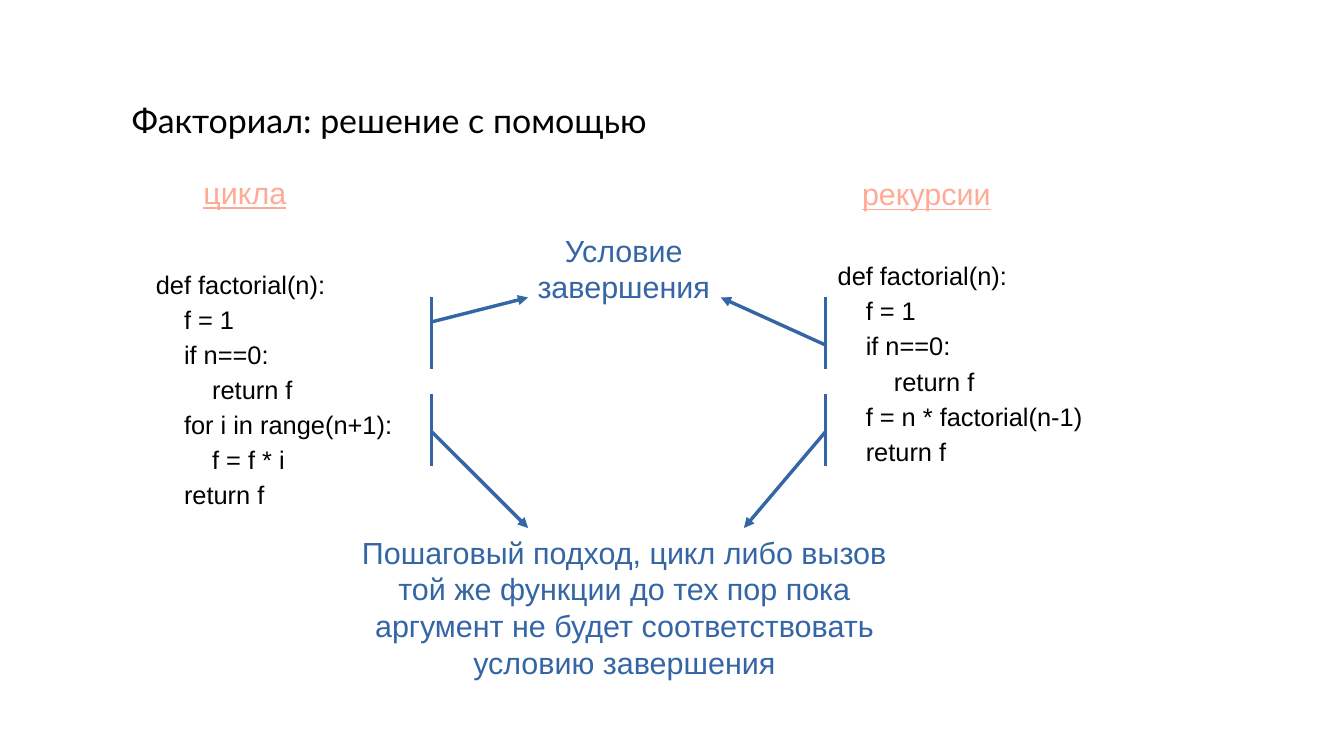
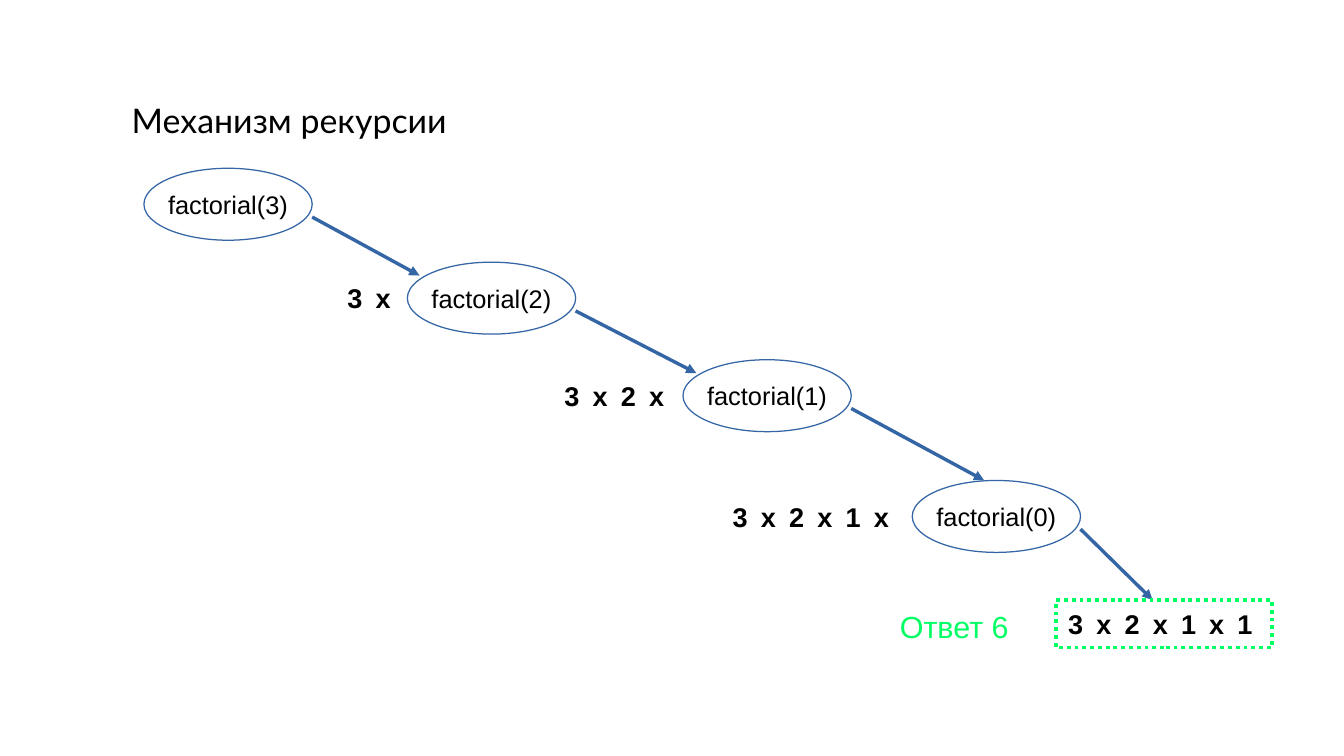
from dataclasses import dataclass
from typing import NamedTuple

import pptx
import pptx.dml.color
import pptx.enum.dml
import pptx.enum.shapes
import pptx.enum.text
import pptx.oxml
import pptx.oxml.ns
import pptx.shapes.base
import pptx.slide
import pptx.text.text
import pptx.util

Inches = pptx.util.Inches
ALIGN = pptx.enum.text.PP_ALIGN
ANCHOR = pptx.enum.text.MSO_ANCHOR
SHAPE = pptx.enum.shapes.MSO_SHAPE


@dataclass(frozen=True)
class Style:
    size: float
    color: str
    font: str = "Arial"
    bold: bool = False
    under: bool = False
    track: int = 0


@dataclass(frozen=True)
class Theme:
    blue: str = "3465A4"
    green: str = "00FF64"
    title: Style = Style(20, "000000", "Lato")
    head: Style = Style(18, "FFAA95", under=True)
    code: Style = Style(15, "000000")
    note: Style = Style(18, "3465A4")
    math: Style = Style(16, "000000", bold=True, track=170)
    reply: Style = Style(18, "00FF64")
    hair: float = 0
    bar: float = 1.5
    frame: float = 2.3


class Box(NamedTuple):
    left: float
    top: float
    width: float
    height: float


class Point(NamedTuple):
    x: float
    y: float


class Label(NamedTuple):
    box: Box
    text: str
    style: Style
    align: ALIGN = ALIGN.LEFT
    space: float = 1.0


class Step(NamedTuple):
    left: float
    top: float
    call: str
    tip: Point
    math: str = ""
    start: float = 0


THEME = Theme()
LOOP = """def factorial(n):
    f = 1
    if n==0:
        return f
    for i in range(n+1):
        f = f * i
    return f"""
RECUR = """def factorial(n):
    f = 1
    if n==0:
        return f
    f = n * factorial(n-1)
    return f"""
GOAL = ("Пошаговый подход, цикл либо вызов той же функции до тех пор "
        "пока аргумент не будет соответствовать условию завершения")


def rgb(color: str) -> pptx.dml.color.RGBColor:
    return pptx.dml.color.RGBColor.from_string(color)


def place(box: Box) -> list[int]:
    return [Inches(side) for side in box]


def write(frame: pptx.text.text.TextFrame, text: str, style: Style,
          align: ALIGN = ALIGN.LEFT, space: float = 1.0) -> None:
    frame.text = text
    for para in frame.paragraphs:
        para.alignment = align
        para.line_spacing = space
        for run in para.runs:
            font = run.font
            font.name = style.font
            font.size = pptx.util.Pt(style.size)
            font.bold = style.bold
            font.underline = style.under
            font.color.rgb = rgb(style.color)
            if style.track:
                run.font._element.set("spc", str(style.track))


def add_page(deck: pptx.presentation.Presentation, text: str) -> pptx.slide.Slide:
    page = deck.slides.add_slide(deck.slide_layouts[5])
    title = page.shapes.title
    title.left, title.top, title.width, title.height = place(Box(0.98, 0.59, 9.65, 0.79))
    frame = title.text_frame
    frame.auto_size = pptx.enum.text.MSO_AUTO_SIZE.NONE
    frame.vertical_anchor = ANCHOR.MIDDLE
    write(frame, text, THEME.title)
    return page


def add_label(page: pptx.slide.Slide, label: Label,
              anchor: ANCHOR = ANCHOR.TOP) -> None:
    frame = page.shapes.add_textbox(*place(label.box)).text_frame
    frame.word_wrap = True
    frame.vertical_anchor = anchor
    write(frame, label.text, label.style, label.align, label.space)


def add_line(page: pptx.slide.Slide, start: Point, end: Point,
             width: float, arrow: bool = False) -> None:
    kind = pptx.enum.shapes.MSO_CONNECTOR.STRAIGHT
    line = page.shapes.add_connector(kind, *[Inches(n) for n in (*start, *end)])
    line.line.color.rgb = rgb(THEME.blue)
    line.line.width = pptx.util.Pt(width)
    props = line.element.spPr
    if arrow:
        tail = pptx.oxml.ns.qn("a:ln")
        head = props.find(tail).makeelement(pptx.oxml.ns.qn("a:tailEnd"), {"type": "triangle"})
        props.find(tail).append(head)
    props.append(props.makeelement(pptx.oxml.ns.qn("a:effectLst"), {}))


def add_form(page: pptx.slide.Slide, kind: SHAPE, box: Box, color: str, width: float,
             text: str, style: Style, align: ALIGN) -> pptx.shapes.base.BaseShape:
    form = page.shapes.add_shape(kind, *place(box))
    form.shadow.inherit = False
    form.fill.background()
    form.line.color.rgb = rgb(color)
    form.line.width = pptx.util.Pt(width)
    frame = form.text_frame
    frame.word_wrap = False
    frame.vertical_anchor = ANCHOR.MIDDLE
    write(frame, text, style, align)
    return form


def draw_code(deck: pptx.presentation.Presentation) -> None:
    page = add_page(deck, "Факториал: решение с помощью")
    labels = [
        Label(Box(1.18, 2.12, 2.3, 2.56), LOOP, THEME.code, space=1.15),
        Label(Box(6.77, 2.05, 3.54, 2.56), RECUR, THEME.code, space=1.15),
        Label(Box(1.57, 1.38, 0.98, 0.38), "цикла", THEME.head),
        Label(Box(6.97, 1.39, 1.97, 0.38), "рекурсии", THEME.head),
        Label(Box(4.13, 1.85, 1.97, 0.79), "Условие завершения", THEME.note, ALIGN.CENTER),
        Label(Box(2.76, 4.33, 4.72, 1.3), GOAL, THEME.note, ALIGN.CENTER),
    ]
    for label in labels:
        add_label(page, label)
    left, right = 3.54, 6.77
    for x in (left, right):
        for top in (2.44, 3.23):
            add_line(page, Point(x, top), Point(x, top + 0.59), THEME.bar)
    arrows = [
        (Point(left, 2.64), Point(4.33, 2.44)),
        (Point(right, 2.83), Point(5.91, 2.44)),
        (Point(left, 3.54), Point(4.33, 4.33)),
        (Point(right, 3.54), Point(6.1, 4.33)),
    ]
    for start, end in arrows:
        add_line(page, start, end, THEME.hair, arrow=True)


def draw_steps(deck: pptx.presentation.Presentation) -> None:
    page = add_page(deck, "Механизм рекурсии")
    wide, high = 1.38, 0.59
    steps = [
        Step(1.18, 1.38, "factorial(3)", Point(3.44, 2.26)),
        Step(3.34, 2.15, "factorial(2)", Point(5.71, 3.06), "3 x", 2.75),
        Step(5.6, 2.95, "factorial(1)", Point(8.07, 3.94), "3 x 2 x", 4.53),
        Step(7.48, 3.94, "factorial(0)", Point(9.45, 4.92), "3 x 2 x 1 x", 5.91),
    ]
    for step in steps:
        add_form(page, SHAPE.OVAL, Box(step.left, step.top, wide, high), THEME.blue,
                 THEME.hair, step.call, THEME.code, ALIGN.CENTER)
        add_line(page, Point(step.left + wide, step.top + 0.4), step.tip,
                 THEME.hair, arrow=True)
        if step.math:
            box = Box(step.start, step.top, step.left - step.start + 0.1, high)
            add_label(page, Label(box, step.math, THEME.math), ANCHOR.MIDDLE)
    frame = add_form(page, SHAPE.RECTANGLE, Box(8.66, 4.92, 1.77, 0.39), THEME.green,
                     THEME.frame, "3 x 2 x 1 x 1", THEME.math, ALIGN.LEFT)
    frame.text_frame.word_wrap = True
    frame.text_frame.margin_right = 0
    frame.line.dash_style = pptx.enum.dml.MSO_LINE.ROUND_DOT
    add_label(page, Label(Box(7.28, 4.94, 1.18, 0.38), "Ответ 6", THEME.reply))


def main() -> None:
    deck = pptx.Presentation()
    deck.slide_width, deck.slide_height = Inches(11.02), Inches(6.2)
    draw_code(deck)
    draw_steps(deck)
    deck.save("out.pptx")


if __name__ == "__main__":
    main()
